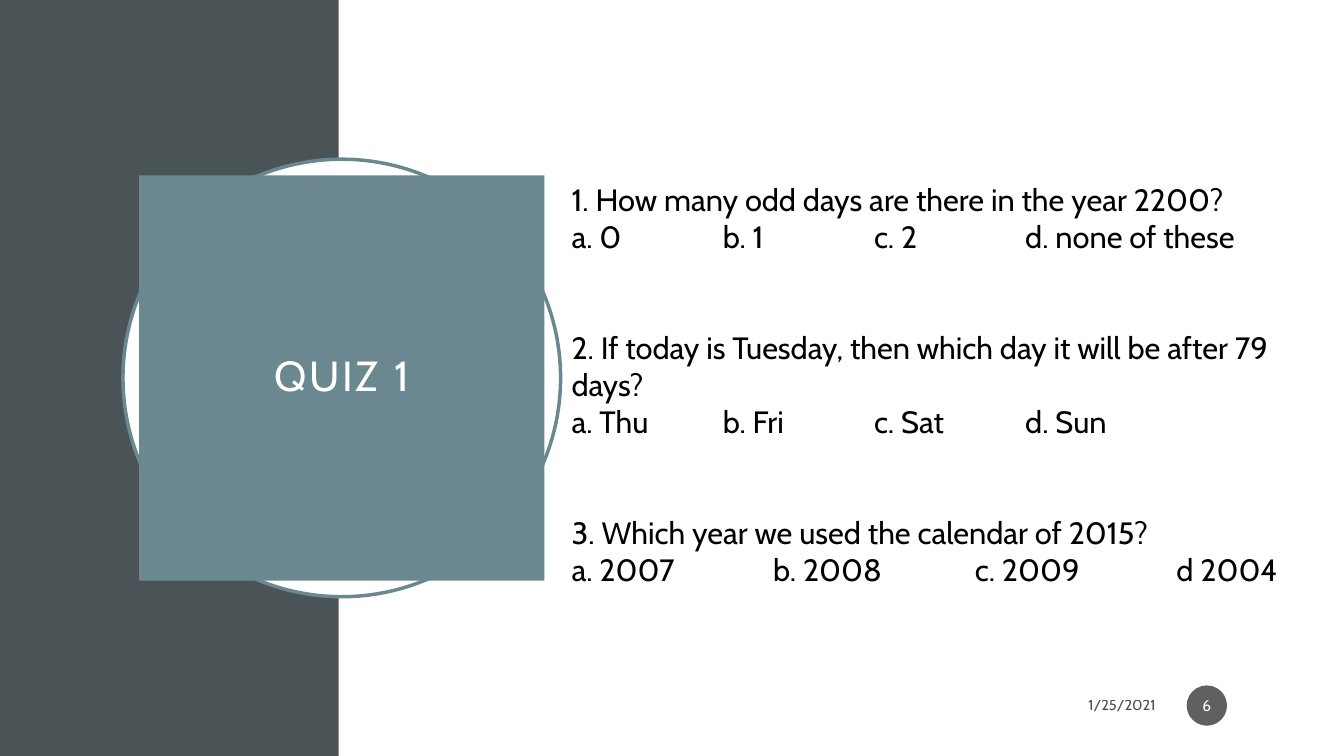
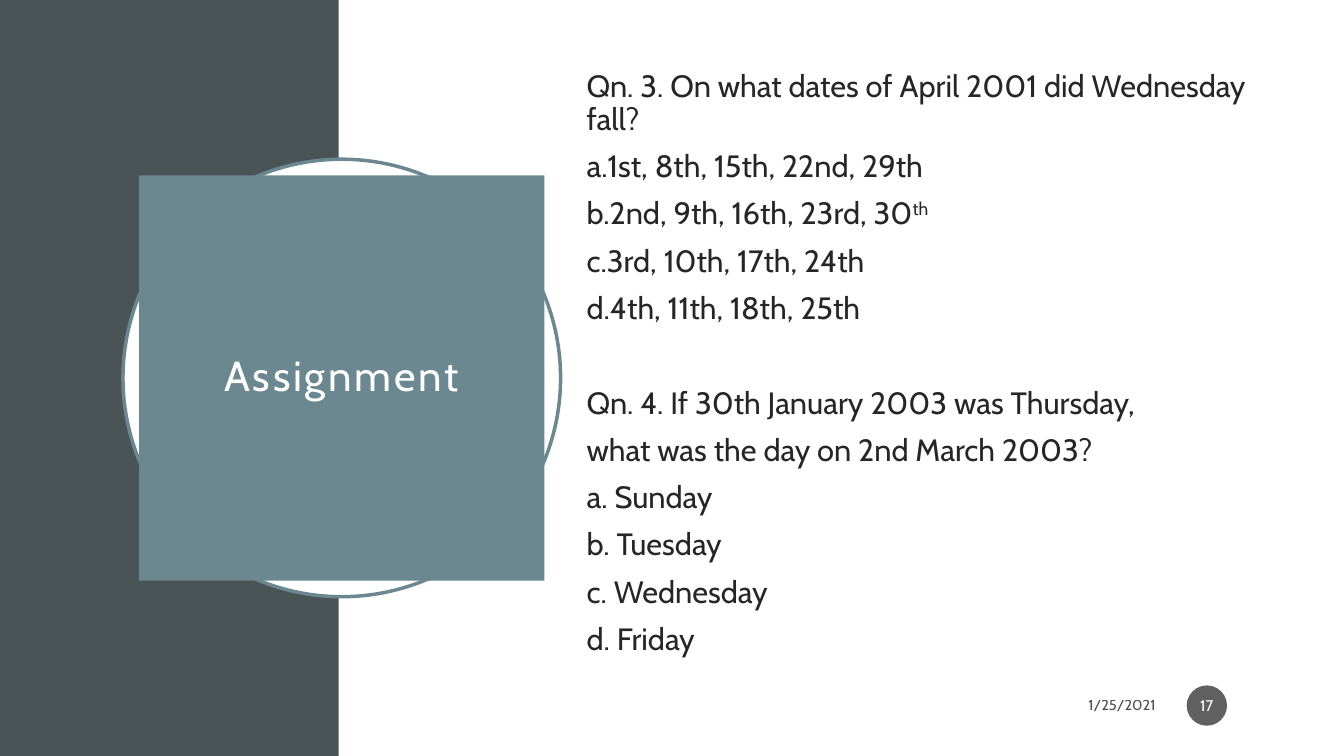
from dataclasses import dataclass

from lxml.etree import SubElement
from pptx import Presentation
from pptx.dml.color import RGBColor
from pptx.enum.shapes import MSO_SHAPE
from pptx.enum.text import MSO_ANCHOR, PP_ALIGN
from pptx.oxml.ns import qn
from pptx.util import Inches, Pt


@dataclass(frozen=True)
class Theme:
    font: str = "Cabin"
    band: str = "4A5356"
    accent: str = "6B8891"
    badge: str = "1D1D1D"
    white: str = "FFFFFF"
    black: str = "000000"
    body: str = "262626"
    title_size: float = 30
    body_size: float = 22
    date_size: float = 10.5
    number_size: float = 11
    footer_alpha: int = 70
    tracking: int = 200
    tight: float = 0.9


THEME = Theme()
DATE = "1/25/2021"
WIDTH, HEIGHT = 13.33, 7.5
BAND_WIDTH = 3.36
RING = (1.22, 1.58, 4.34, 4.34)
TITLE_INSET = 0.16
FOOTER = (8.55, 6.8, 3.62, 0.4)

QUIZ = [
    ("1. How many odd days are there in the year 2200?",
     ["a. 0", "b. 1", "c. 2", "d. none of these"], 1.5),
    ("2. If today is Tuesday, then which day it will be after 79 days?",
     ["a. Thu", "b. Fri", "c. Sat", "d. Sun"], 1.5),
    ("3. Which year we used the calendar of 2015?",
     ["a. 2007", "b. 2008", "c. 2009", "d 2004"], 2),
]

ASSIGNMENT = [
    [["Qn. 3. On what dates of April 2001 did Wednesday fall?"],
     ["a.1st, 8th, 15th, 22nd, 29th"],
     ["b.2nd, 9th, 16th, 23rd, 30", "th"],
     ["c.3rd, 10th, 17th, 24th"],
     ["d.4th, 11th, 18th, 25th"]],
    [["Qn. 4. If 30th January 2003 was Thursday,"],
     ["what was the day on 2nd March 2003?"],
     ["a. Sunday"], ["b. Tuesday"], ["c. Wednesday"], ["d. Friday"]],
]


def apply(obj, values):
    for name, value in values.items():
        setattr(obj, name, value)


def set_alpha(element, percent):
    for color in element.iter(qn("a:srgbClr")):
        SubElement(color, qn("a:alpha"), val=str(percent * 1000))


def add_run(p, text, size, color, **attributes):
    r = p.add_run()
    r.text = text
    apply(r.font, {"name": THEME.font, "size": Pt(size)})
    r.font.fill.solid()
    r.font.fill.fore_color.rgb = RGBColor.from_string(color)
    for name, value in attributes.items():
        r.font._element.set(name, str(value))
    return r


def add_shape(slide, kind, box, fill, line=None):
    sp = slide.shapes.add_shape(kind, *map(Inches, box))
    sp.shadow.inherit = False
    sp.fill.solid()
    sp.fill.fore_color.rgb = RGBColor.from_string(fill)
    if line:
        sp.line.color.rgb = RGBColor.from_string(line)
        sp.line.width = Pt(2.5)
    else:
        sp.line.fill.background()
    return sp


def add_text(slide, box, anchor=MSO_ANCHOR.TOP):
    tf = slide.shapes.add_textbox(*map(Inches, box)).text_frame
    apply(tf, {"word_wrap": True, "vertical_anchor": anchor})
    return tf


def next_paragraph(tf, index, **values):
    p = tf.add_paragraph() if index else tf.paragraphs[0]
    apply(p, values)
    return p


def add_tabs(p, step, count):
    tabs = SubElement(p._p.get_or_add_pPr(), qn("a:tabLst"))
    for i in range(1, count + 1):
        SubElement(tabs, qn("a:tab"), pos=str(Inches(step * i)), algn="l")


def add_title(slide, box, title):
    add_shape(slide, MSO_SHAPE.OVAL, box, THEME.white, THEME.accent)
    left, top, width, height = box
    inner = (left + TITLE_INSET, top + TITLE_INSET,
             width - 2 * TITLE_INSET, height - 2 * TITLE_INSET)
    tf = add_shape(slide, MSO_SHAPE.RECTANGLE, inner, THEME.accent).text_frame
    margins = ("margin_left", "margin_top", "margin_right", "margin_bottom")
    apply(tf, dict.fromkeys(margins, Inches(0.2)))
    apply(tf, {"word_wrap": True, "vertical_anchor": MSO_ANCHOR.MIDDLE})
    p = next_paragraph(tf, 0, alignment=PP_ALIGN.CENTER, line_spacing=THEME.tight)
    add_run(p, title, THEME.title_size, THEME.white, spc=THEME.tracking)


def add_footer(slide, box, number):
    left, top, width, height = box
    tf = add_text(slide, (left, top + 0.02, width - height - 0.21, 0.35),
                  MSO_ANCHOR.MIDDLE)
    p = next_paragraph(tf, 0, alignment=PP_ALIGN.RIGHT)
    r = add_run(p, DATE, THEME.date_size, THEME.black)
    set_alpha(r.font._element, THEME.footer_alpha)

    badge = add_shape(slide, MSO_SHAPE.OVAL,
                      (left + width - height, top, height, height), THEME.badge)
    set_alpha(badge._element.spPr, THEME.footer_alpha)
    tf = badge.text_frame
    apply(tf, {"margin_left": Inches(0.02), "margin_right": Inches(0.02),
               "vertical_anchor": MSO_ANCHOR.MIDDLE})
    p = next_paragraph(tf, 0, alignment=PP_ALIGN.CENTER)
    add_run(p, str(number), THEME.number_size, THEME.white)


def add_quiz(slide, box):
    tf = add_text(slide, box)
    for i, (question, options, step) in enumerate(QUIZ):
        p = next_paragraph(tf, i, space_before=Pt(53 if i else 0))
        add_run(p, question, THEME.body_size, THEME.black)
        p = next_paragraph(tf, 1)
        add_tabs(p, step, len(options) - 1)
        add_run(p, "\t".join(options), THEME.body_size, THEME.black)


def add_assignment(slide, box):
    tf = add_text(slide, box)
    for i, lines in enumerate(ASSIGNMENT):
        for j, (text, *superscript) in enumerate(lines):
            gap = 10 if j else 44 if i else 0
            p = next_paragraph(tf, i + j, line_spacing=THEME.tight,
                               space_before=Pt(gap))
            add_run(p, text, THEME.body_size, THEME.body)
            for raised in superscript:
                add_run(p, raised, THEME.body_size, THEME.body, baseline=30000)


def add_slide(prs, title, number, add_body, box):
    slide = prs.slides.add_slide(prs.slide_layouts[6])
    add_shape(slide, MSO_SHAPE.RECTANGLE, (0, 0, BAND_WIDTH, HEIGHT), THEME.band)
    add_title(slide, RING, title)
    add_body(slide, box)
    add_footer(slide, FOOTER, number)


def main():
    prs = Presentation()
    apply(prs, {"slide_width": Inches(WIDTH), "slide_height": Inches(HEIGHT)})
    add_slide(prs, "QUIZ 1", 6, add_quiz, (5.57, 1.74, 7.59, 3.8))
    add_slide(prs, "Assignment", 17, add_assignment, (5.72, 0.65, 7.22, 5.93))
    prs.save("out.pptx")


if __name__ == "__main__":
    main()
